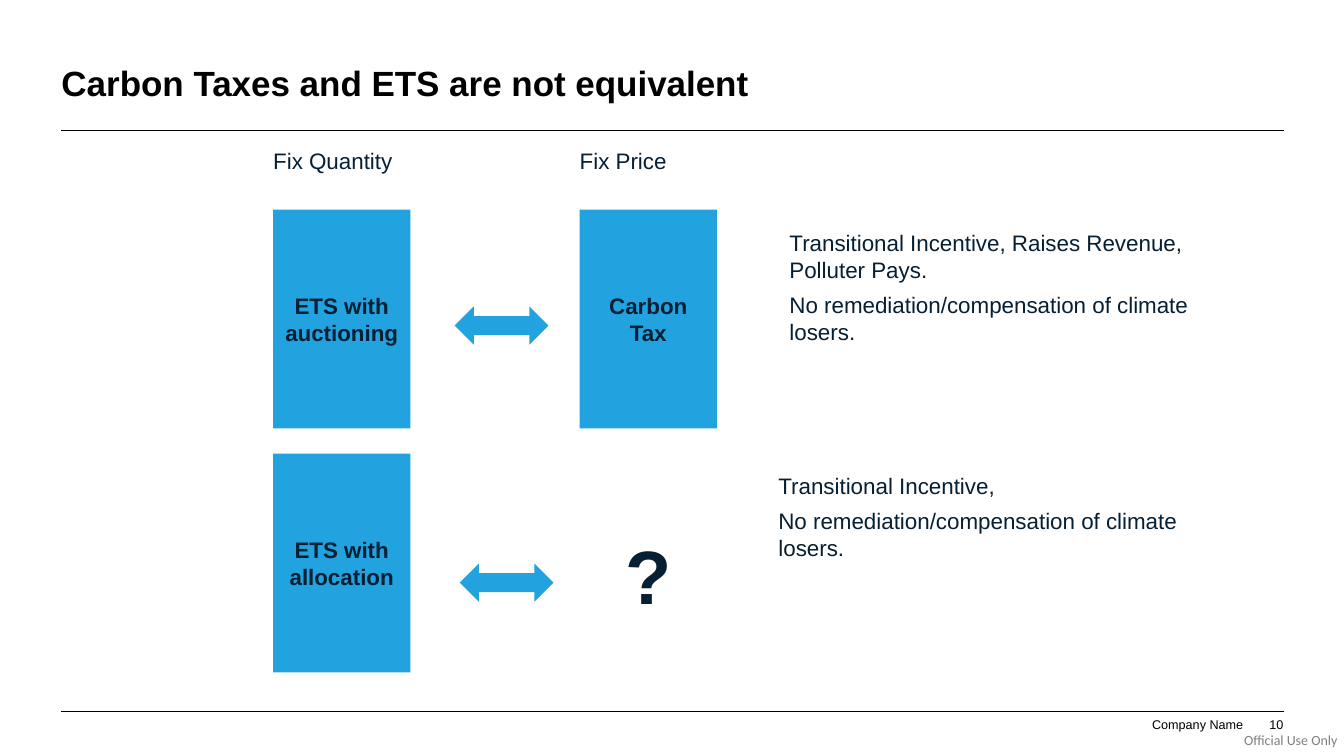
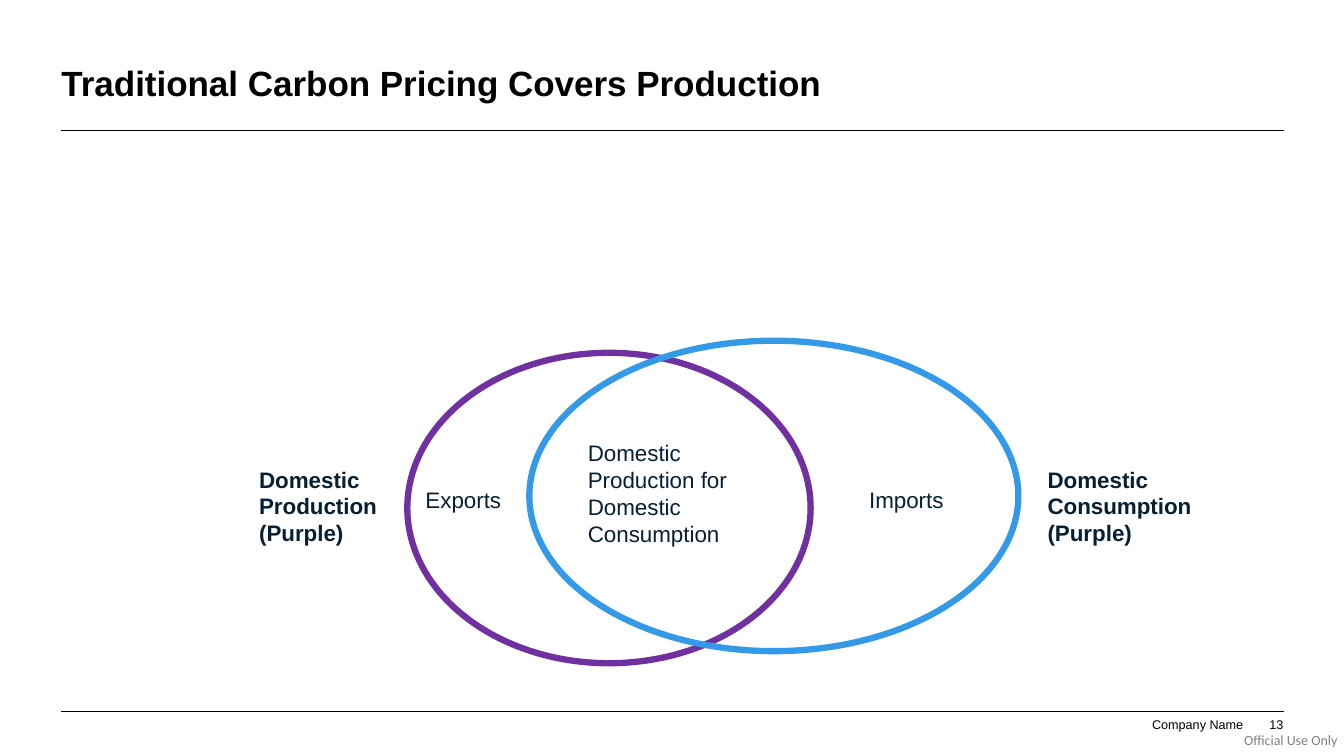
"""Build two carbon pricing slides."""
from lxml import etree
from pptx import Presentation
from pptx import util as u
from pptx.dml.color import RGBColor
from pptx.enum import shapes, text
from pptx.oxml import ns

BLACK = RGBColor(0x00, 0x00, 0x00)
GREY = RGBColor(0x80, 0x80, 0x80)
NAVY = RGBColor(0x06, 0x1F, 0x32)
BLUE = RGBColor(0x22, 0xA3, 0xDF)
PURPLE = RGBColor(0x70, 0x30, 0xA0)
SKY = RGBColor(0x34, 0x9A, 0xE7)

LEFT, RIGHT = 0.61, 12.73
BODY = {"name": "Arial", "size": u.Pt(16), "bold": False}
STRONG = {**BODY, "bold": True}
HUGE = {**STRONG, "size": u.Pt(54)}
TITLE = {**STRONG, "size": u.Pt(25)}
FOOTER = {**BODY, "size": u.Pt(9)}
MARKING = {**BODY, "name": "Calibri", "size": u.Pt(10)}

MIDDLE, BOTTOM = text.MSO_ANCHOR.MIDDLE, text.MSO_ANCHOR.BOTTOM
CENTER, ALIGN_RIGHT = text.PP_ALIGN.CENTER, text.PP_ALIGN.RIGHT


def inches(*values):
    """Convert numbers to inch lengths."""
    return [u.Inches(v) for v in values]


def write(tf, lines, style=BODY, color=NAVY, align=None, gap=3):
    """Fill a text frame with one styled paragraph per line."""
    for i, line in enumerate(lines):
        p = tf.add_paragraph() if i else tf.paragraphs[0]
        p.alignment = align
        p.space_before = u.Pt(gap if i else 0)
        p.space_after = u.Pt(gap)
        r = p.add_run()
        r.text = line
        for name, value in style.items():
            setattr(r.font, name, value)
        r.font.color.rgb = color


def add_label(s, box, lines, anchor=text.MSO_ANCHOR.TOP, wrap=True, **fmt):
    """Add a text box without margins and return its frame."""
    tf = s.shapes.add_textbox(*inches(*box)).text_frame
    tf.word_wrap, tf.vertical_anchor = wrap, anchor
    for side in ("left", "top", "right", "bottom"):
        setattr(tf, f"margin_{side}", 0)
    write(tf, lines, **fmt)
    return tf


def add_block(s, kind, box, lines=()):
    """Add a filled blue shape with centred bold text."""
    sp = s.shapes.add_shape(kind, *inches(*box))
    sp.shadow.inherit = False
    sp.fill.solid()
    sp.fill.fore_color.rgb = BLUE
    sp.line.fill.background()
    sp.text_frame.vertical_anchor = MIDDLE
    write(sp.text_frame, lines, style=STRONG, align=CENTER)


def add_ring(s, box, color):
    """Add an unfilled ellipse with a thick outline."""
    sp = s.shapes.add_shape(shapes.MSO_SHAPE.OVAL, *inches(*box))
    sp.shadow.inherit = False
    sp.fill.background()
    sp.line.color.rgb = color
    sp.line.width = u.Pt(4.5)


def add_rule(s, y):
    """Add a thin line across the slide."""
    line = s.shapes.add_connector(shapes.MSO_CONNECTOR.STRAIGHT,
                                  *inches(LEFT, y, RIGHT, y))
    line.line.color.rgb = BLACK
    line.line.width = u.Pt(0.5)
    etree.SubElement(line._element.spPr, ns.qn("a:effectLst"))


def add_frame(prs, title, number):
    """Add a blank slide with title, rules and footer."""
    s = prs.slides.add_slide(prs.slide_layouts[6])
    for y in (1.29, 7.06):
        add_rule(s, y)
    tf = add_label(s, (LEFT, 0.4, RIGHT - LEFT, 0.89), [title], MIDDLE,
                   style=TITLE, color=BLACK, gap=0)
    tf.paragraphs[0].line_spacing = 0.9
    for x, w, words in ((11.42, 0.91, "Company Name"), (12.37, 0.36, number)):
        add_label(s, (x, 7.11, w, 0.15), [words], BOTTOM, wrap=w < 0.5,
                  style=FOOTER, color=BLACK, align=ALIGN_RIGHT, gap=0)
    add_label(s, (12.34, 7.26, 0.96, 0.17), ["Official Use Only"],
              style=MARKING, color=GREY, gap=0)
    return s


def add_comparison(s, x, y):
    """Add the instrument comparison with its corner at x, y."""
    w, h, column, row = 1.36, 2.17, 3.04, 2.42
    top = y + 0.62
    rect, arrow = shapes.MSO_SHAPE.RECTANGLE, shapes.MSO_SHAPE.LEFT_RIGHT_ARROW
    for i, heading in enumerate(("Fix Quantity", "Fix Price")):
        add_label(s, (x + i * column, y, w, 0.47), [heading])
    for i, j, words in ((0, 0, "ETS with auctioning"), (1, 0, "Carbon Tax"),
                        (0, 1, "ETS with allocation")):
        add_block(s, rect, (x + i * column, top + j * row, w, h), [words])
    for dx, dy in ((1.8, 0.96), (1.85, 3.51)):
        add_block(s, arrow, (x + dx, top + dy, 0.93, 0.38))
    add_label(s, (x + 3.49, top + 3.17, 0.93, 1.21), ["?"], style=HUGE)
    losers = "No remediation/compensation of climate losers."
    for dx, dy, incentive in (
            (5.12, 0.19, "Transitional Incentive, Raises Revenue, Polluter Pays."),
            (5.01, 2.6, "Transitional Incentive,")):
        add_label(s, (x + dx, top + dy, 4.15, 1.81), [incentive, losers])


def add_venn(s, x, y):
    """Add the production and consumption diagram with its corner at x, y."""
    add_ring(s, (x, y + 0.12, 4, 3.08), PURPLE)
    add_ring(s, (x + 1.21, y, 4.85, 3.08), SKY)
    for dx, dy, w, h, words, style in (
            (0.18, 1.44, 1.14, 0.44, "Exports", BODY),
            (4.58, 1.44, 1.14, 0.44, "Imports", BODY),
            (1.79, 0.98, 1.52, 1.12,
             "Domestic Production for Domestic Consumption", BODY),
            (-1.47, 1.24, 1.46, 0.97, "Domestic Production (Purple)", STRONG),
            (6.35, 1.24, 1.46, 0.97, "Domestic Consumption (Purple)", STRONG)):
        add_label(s, (x + dx, y + dy, w, h), [words], style=style)


def main():
    """Build and save the presentation."""
    prs = Presentation()
    prs.slide_width, prs.slide_height = inches(13.33, 7.5)
    s = add_frame(prs, "Carbon Taxes and ETS are not equivalent", "10")
    add_comparison(s, 2.71, 1.46)
    s = add_frame(prs, "Traditional Carbon Pricing Covers Production", "13")
    add_venn(s, 4.04, 3.38)
    prs.save("out.pptx")


if __name__ == "__main__":
    main()
